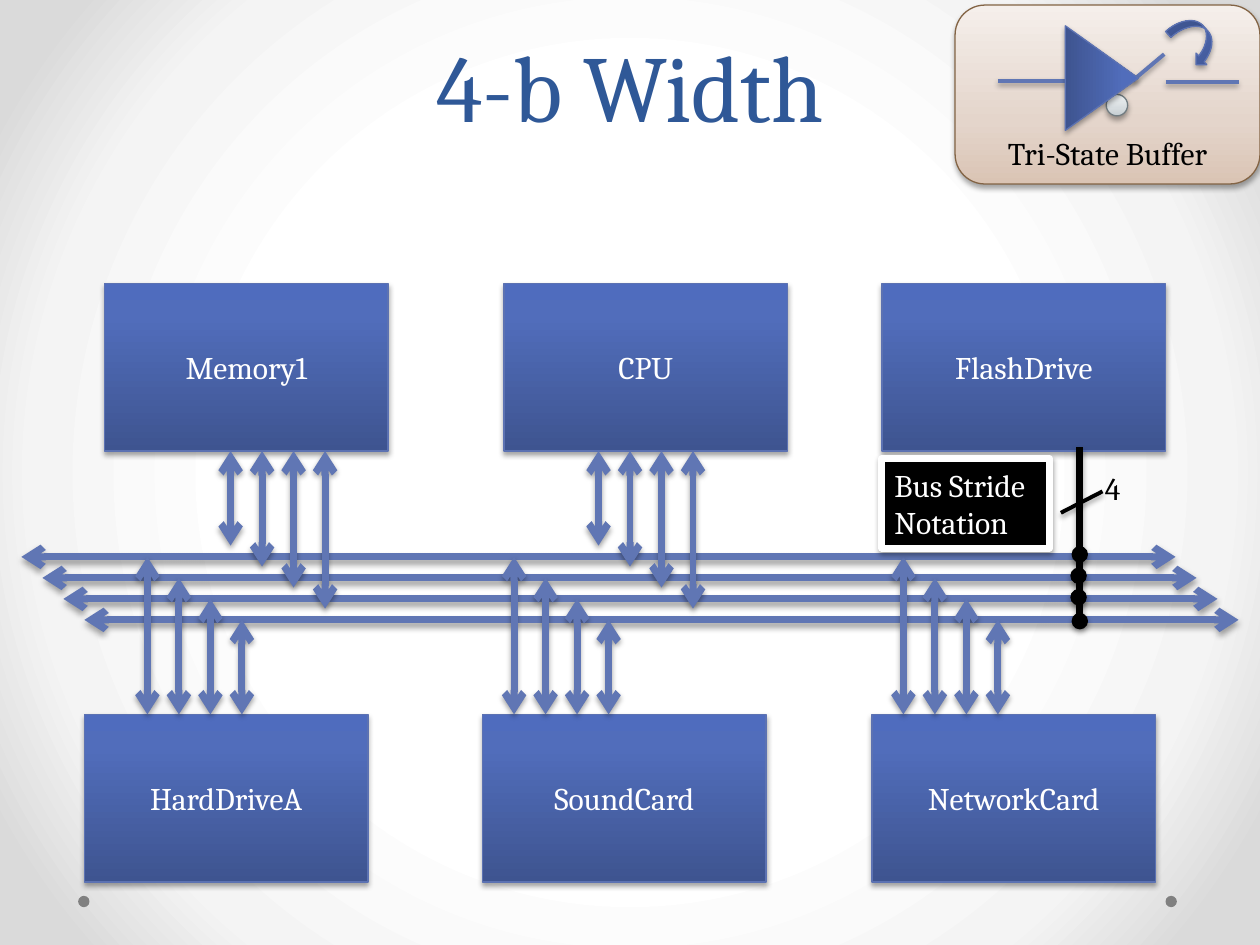
import dataclasses

import pptx
import pptx.dml.color
import pptx.enum.shapes
import pptx.enum.text
import pptx.oxml
import pptx.oxml.ns
import pptx.util

Inches = pptx.util.Inches
Pt = pptx.util.Pt
SHAPE = pptx.enum.shapes.MSO_SHAPE
ALIGN = pptx.enum.text.PP_ALIGN
ANCHOR = pptx.enum.text.MSO_ANCHOR
qn = pptx.oxml.ns.qn
NS = pptx.oxml.ns.nsdecls("a")


@dataclasses.dataclass(frozen=True)
class Theme:
    font: str = "Cambria"
    title_size: int = 54
    body_size: int = 18
    title: str = "2F5897"
    black: str = "000000"
    white: str = "FFFFFF"
    marker: str = "808080"
    wire: str = "6076B4"
    blue_edge: str = "5C72B2"
    tan_edge: str = "836445"
    grey_edge: str = "727D82"
    blue: tuple = ((0, "3E5490"), (80, "516DBB"), (100, "4F6CBE"))
    tan: tuple = ((0, "DAC4B4"), (35, "E4D5CB"), (100, "F5EFEB"))
    grey: tuple = ((0, "C5CED2"), (35, "D6DCDF"), (100, "EFF2F3"))
    backdrop: tuple = ((50, "FFFFFF"), (76, "F4F4F4"), (92, "DADADA"))
    thick: float = 4
    medium: float = 2.25
    thin: float = 0.75


def set_all(target, values):
    for name, value in values.items():
        setattr(target, name, value)


def rgb(code):
    return pptx.dml.color.RGBColor.from_string(code)


def apply_gradient(fill, owner, stops, direction):
    """Give fill the stops; owner is the XML element that contains it."""
    fill.gradient()
    old = owner.find(".//" + qn("a:gradFill"))
    marks = "".join(f'<a:gs pos="{pos * 1000}"><a:srgbClr val="{code}"/></a:gs>'
                    for pos, code in stops)
    old.getparent().replace(old, pptx.oxml.parse_xml(
        f'<a:gradFill {NS} rotWithShape="1"><a:gsLst>{marks}</a:gsLst>{direction}</a:gradFill>'))


def apply_shadow(properties):
    properties.append(pptx.oxml.parse_xml(
        f'<a:effectLst {NS}><a:outerShdw blurRad="{Pt(3.1)}" dist="{Pt(1.8)}" dir="5400000" '
        'rotWithShape="0"><a:srgbClr val="000000"><a:alpha val="35000"/></a:srgbClr>'
        '</a:outerShdw></a:effectLst>'))


class SlideBuilder:
    def __init__(self, slide, theme):
        self.slide, self.theme = slide, theme

    def background(self, stops):
        apply_gradient(
            self.slide.background.fill, self.slide.element, stops,
            '<a:path path="circle"><a:fillToRect l="50000" t="50000" r="50000" b="50000"/></a:path>')

    def label(self, frame, words, color, size=None, align=ALIGN.CENTER, line_spacing=None, **layout):
        frame.text = words
        set_all(frame, {"word_wrap": True, **layout})
        paragraph = frame.paragraphs[0]
        set_all(paragraph, {"alignment": align, "line_spacing": line_spacing})
        set_all(paragraph.font, {"name": self.theme.font, "size": Pt(size or self.theme.body_size)})
        paragraph.font.color.rgb = rgb(color)

    def text(self, box, words, color, **style):
        self.label(self.slide.shapes.add_textbox(*map(Inches, box)).text_frame, words, color, **style)

    def shape(self, kind, box, fill, edge=None, width=None, rotation=0):
        """Add a preset shape; one without an edge also has no shadow."""
        shape = self.slide.shapes.add_shape(kind, *map(Inches, box))
        shape.rotation = rotation
        if isinstance(fill, str):
            shape.fill.solid()
            shape.fill.fore_color.rgb = rgb(fill)
        else:
            apply_gradient(shape.fill, shape.element, fill, '<a:lin ang="16200000" scaled="0"/>')
        if edge:
            shape.line.color.rgb = rgb(edge)
            shape.line.width = Pt(width or self.theme.thin)
            apply_shadow(shape.element.spPr)
        else:
            shape.line.fill.background()
            shape.shadow.inherit = False
        return shape

    def device(self, left, top, name):
        block = self.shape(SHAPE.RECTANGLE, (left, top, 2.25, 1.33),
                           self.theme.blue, self.theme.blue_edge)
        self.label(block.text_frame, name, self.theme.white)

    def line(self, start, end, color, width, arrows=False):
        line = self.slide.shapes.add_connector(
            pptx.enum.shapes.MSO_CONNECTOR.STRAIGHT, *map(Inches, start + end))
        line.line.color.rgb = rgb(color)
        line.line.width = Pt(width)
        if arrows:
            outline = line.element.spPr.find(qn("a:ln"))
            for tip in ("headEnd", "tailEnd"):
                outline.append(pptx.oxml.parse_xml(f'<a:{tip} {NS} type="arrow"/>'))
        apply_shadow(line.element.spPr)

    def wire(self, start, end):
        self.line(start, end, self.theme.wire, self.theme.thick, arrows=True)

    def dot(self, left, top):
        self.shape(SHAPE.OVAL, (left, top, 0.12, 0.12), self.theme.black, self.theme.black)


BUS_BITS = range(4)
BIT_GAP = 1 / 6
STUB_GAP = 0.25
BUS_TOP = 4.42
UPPER_TOP, UPPER_BOTTOM, LOWER_TOP = 2.25, 3.58, 5.67
UPPER_DEVICES = ((0.83, "Memory1"), (4, "CPU"), (7, "FlashDrive"))
LOWER_DEVICES = ((0.67, "HardDriveA"), (3.83, "SoundCard"), (6.92, "NetworkCard"))
UPPER_STUBS = (1.83, 4.75)
LOWER_STUBS = (1.17, 4.08, 7.17)


def draw_bus(page):
    for left, name in UPPER_DEVICES:
        page.device(left, UPPER_TOP, name)
    for bit in BUS_BITS:
        shift = bit * BIT_GAP
        page.wire((0.17 + shift, BUS_TOP + shift), (9.33 + shift, BUS_TOP + shift))
    for first in UPPER_STUBS:
        for bit in BUS_BITS:
            x = first + bit * STUB_GAP
            page.wire((x, UPPER_BOTTOM), (x, 4.33 + bit * BIT_GAP))
    for left, name in LOWER_DEVICES:
        page.device(left, LOWER_TOP, name)
    for first in LOWER_STUBS:
        for bit in BUS_BITS:
            x = first + bit * STUB_GAP
            page.wire((x, BUS_TOP + bit * BIT_GAP), (x, LOWER_TOP))


def draw_stride(page):
    theme = page.theme
    page.line((8.42, 4.07), (8.75, 3.9), theme.black, theme.medium)
    page.text((8.67, 3.67, 0.34, 0.4), "4", theme.black, align=ALIGN.LEFT, word_wrap=False)
    page.line((8.57, 3.55), (8.57, 4.96), theme.black, theme.thick)
    for left, top in ((8.51, 4.34), (8.5, 4.51), (8.5, 4.68), (8.51, 4.87)):
        page.dot(left, top)


def draw_buffer(page):
    theme = page.theme
    panel = page.shape(SHAPE.ROUNDED_RECTANGLE, (7.58, 0.04, 2.42, 1.42), theme.tan, theme.tan_edge)
    page.label(panel.text_frame, "Tri-State Buffer", theme.black,
               vertical_anchor=ANCHOR.BOTTOM, margin_bottom=Inches(0.03))
    page.shape(SHAPE.OVAL, (8.78, 0.75, 0.17, 0.17), theme.grey, theme.grey_edge)
    for start, end in (((7.92, 0.64), (8.5, 0.64)), ((8.99, 0.64), (9.24, 0.43)),
                       ((9.25, 0.65), (9.83, 0.65))):
        page.line(start, end, theme.wire, theme.medium)
    for kind, box, turn in ((SHAPE.ISOSCELES_TRIANGLE, (8.33, 0.33, 0.83, 0.58), 90),
                            (SHAPE.CURVED_LEFT_ARROW, (9.36, 0.11, 0.25, 0.42), 317.4)):
        page.shape(kind, box, theme.blue, theme.blue_edge, rotation=turn)


def main():
    deck = pptx.Presentation()
    set_all(deck, {"slide_width": Inches(10), "slide_height": Inches(7.5)})
    theme = Theme()
    page = SlideBuilder(deck.slides.add_slide(deck.slide_layouts[6]), theme)
    page.background(theme.backdrop)
    for left in (9.25, 0.62):
        page.shape(SHAPE.OVAL, (left, 7.11, 0.09, 0.09), theme.marker)
    page.text((0.5, -0.58, 9, 1.75), "4-b Width", theme.title, size=theme.title_size,
              line_spacing=Pt(58), vertical_anchor=ANCHOR.BOTTOM)
    draw_bus(page)
    draw_stride(page)
    draw_buffer(page)
    caption = page.shape(SHAPE.RECTANGLE, (7, 3.64, 1.33, 0.71), theme.black, theme.white, theme.thick)
    page.label(caption.text_frame, "Bus Stride Notation", theme.white, align=ALIGN.LEFT)
    deck.save("out.pptx")


if __name__ == "__main__":
    main()
